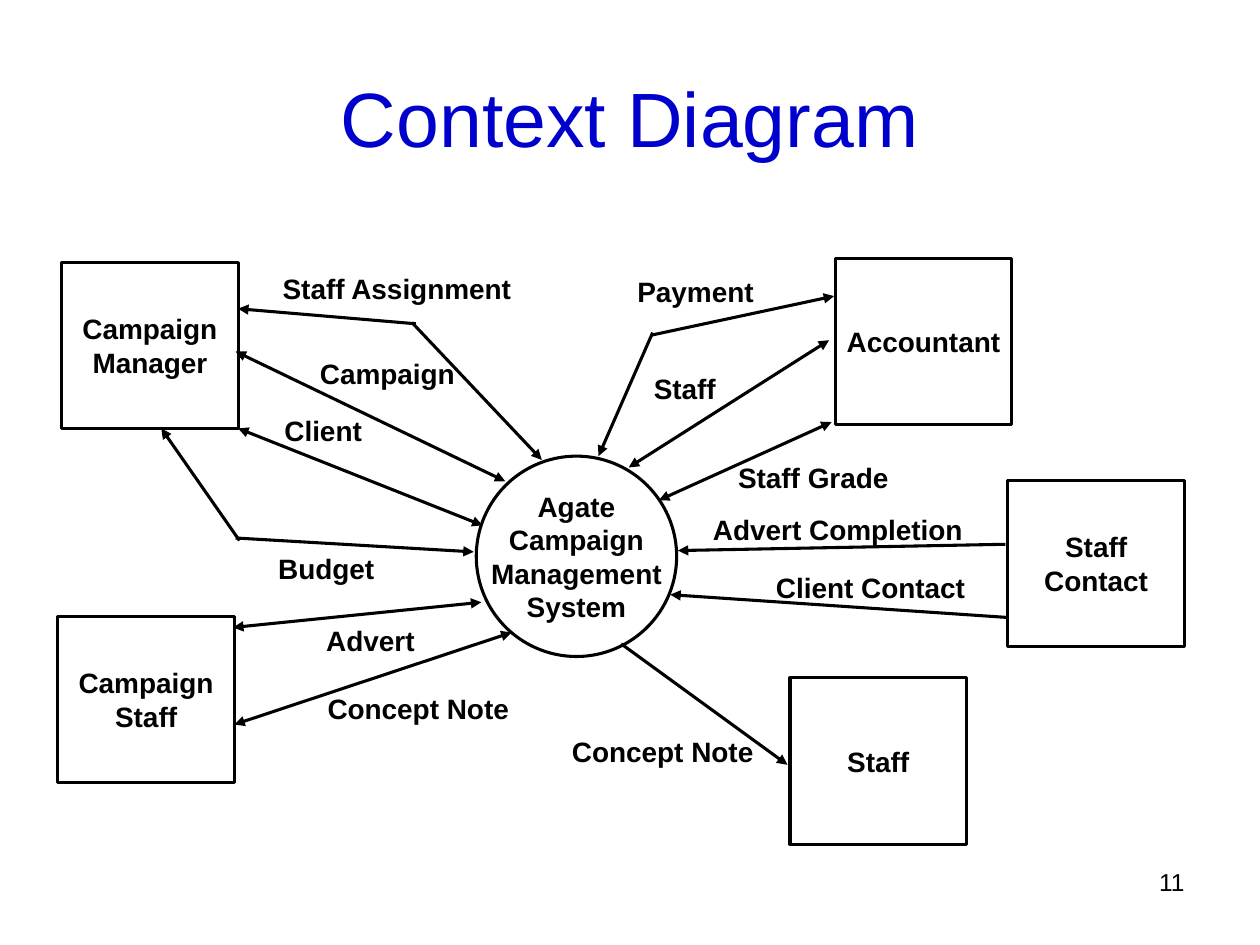
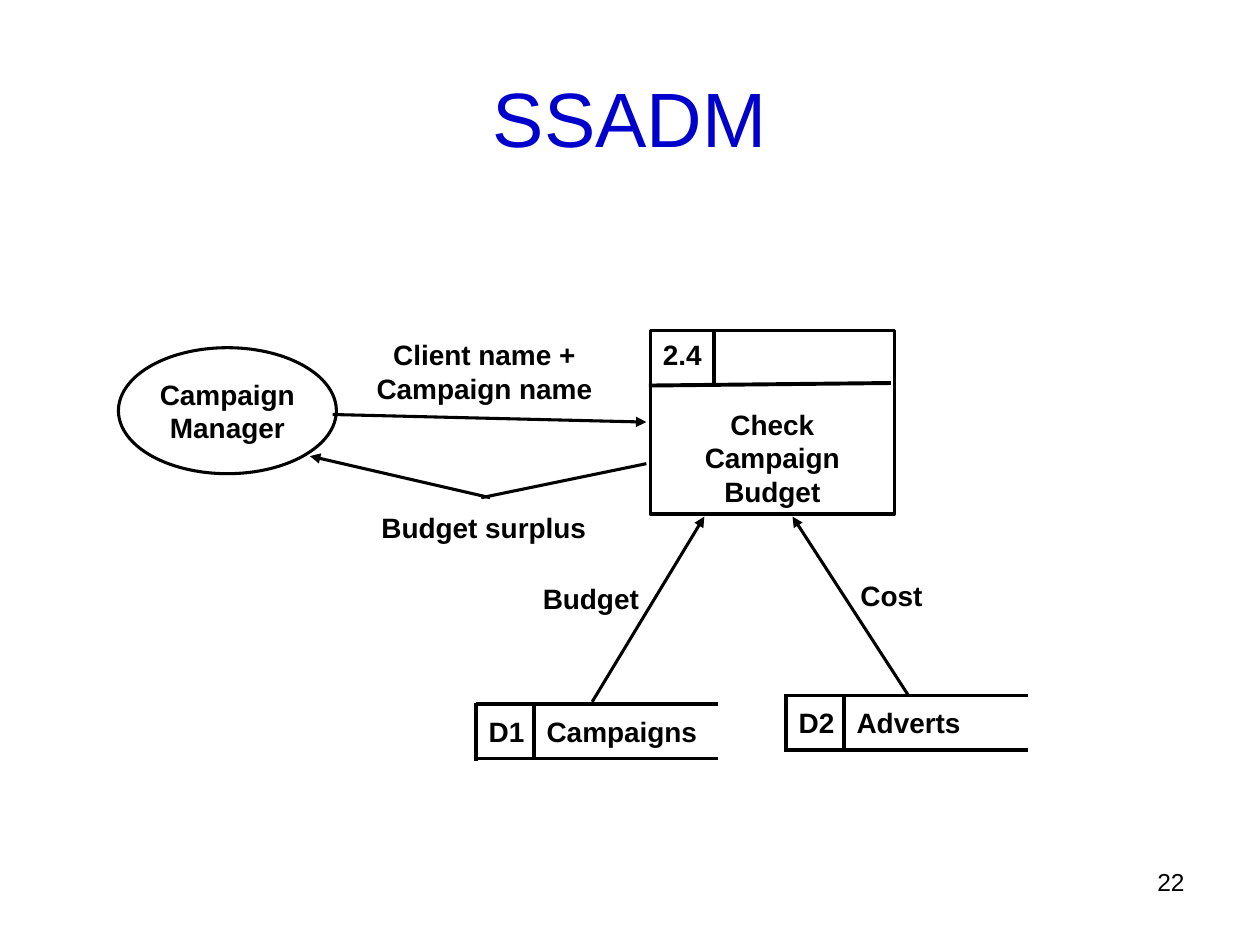
from dataclasses import dataclass

from lxml.etree import SubElement
from pptx import Presentation
from pptx.dml.color import RGBColor
from pptx.enum.shapes import MSO_CONNECTOR, MSO_SHAPE
from pptx.enum.text import MSO_ANCHOR, MSO_AUTO_SIZE, PP_ALIGN
from pptx.oxml.ns import qn
from pptx.slide import Slide
from pptx.text.text import TextFrame
from pptx.util import Emu, Pt

PIXEL = 9144
FONT = "Arial"
BLACK = "000000"
WHITE = "FFFFFF"
TITLE_BLUE = "0000CC"
FLOW_WIDTH = 1.75
RULE_WIDTH = 2.25
LABEL_HEIGHT = 37

STORE_WIDTH = 192
STORE_HEIGHT = 43
STORE_DIVIDER = 46


@dataclass(frozen=True)
class Node:
    text: str
    left: int
    top: int
    width: int = 140
    height: int = 132
    kind: MSO_SHAPE = MSO_SHAPE.RECTANGLE
    anchor: MSO_ANCHOR = MSO_ANCHOR.MIDDLE


@dataclass(frozen=True)
class Flow:
    start: tuple[int, int]
    end: tuple[int, int]
    head: bool = False
    tail: bool = True
    width: float = FLOW_WIDTH


@dataclass(frozen=True)
class Label:
    text: str
    left: int
    top: int
    width: int
    height: int = LABEL_HEIGHT
    align: PP_ALIGN = PP_ALIGN.CENTER
    side_margin: int = 0


@dataclass(frozen=True)
class Store:
    code: str
    name: str
    left: int
    top: int


def px(length: int) -> Emu:
    return Emu(length * PIXEL)


def color(code: str) -> RGBColor:
    return RGBColor.from_string(code)


def style_text(frame: TextFrame, size: int, align: PP_ALIGN,
               code: str = BLACK, bold: bool = False) -> None:
    for paragraph in frame.paragraphs:
        paragraph.alignment = align
        font = paragraph.font
        font.name = FONT
        font.size = Pt(size)
        font.bold = bold
        font.color.rgb = color(code)


def add_node(page: Slide, node: Node) -> None:
    box = page.shapes.add_shape(
        node.kind, px(node.left), px(node.top), px(node.width), px(node.height))
    box.shadow.inherit = False
    box.fill.solid()
    box.fill.fore_color.rgb = color(WHITE)
    box.line.color.rgb = color(BLACK)
    box.line.width = Pt(FLOW_WIDTH)
    frame = box.text_frame
    frame.word_wrap = False
    frame.vertical_anchor = node.anchor
    frame.text = node.text
    style_text(frame, 16, PP_ALIGN.CENTER, bold=True)


def add_flow(page: Slide, flow: Flow) -> None:
    connector = page.shapes.add_connector(
        MSO_CONNECTOR.STRAIGHT, *map(px, flow.start + flow.end))
    connector.line.color.rgb = color(BLACK)
    connector.line.width = Pt(flow.width)
    properties = connector._element.spPr
    outline = properties.find(qn("a:ln"))
    for shown, tag in ((flow.head, "a:headEnd"), (flow.tail, "a:tailEnd")):
        if shown:
            SubElement(outline, qn(tag), type="triangle")
    SubElement(properties, qn("a:effectLst"))


def add_rule(page: Slide, start: tuple[int, int], end: tuple[int, int]) -> None:
    add_flow(page, Flow(start, end, tail=False, width=RULE_WIDTH))


def add_label(page: Slide, label: Label, tab: int = 0) -> None:
    box = page.shapes.add_textbox(
        px(label.left), px(label.top), px(label.width), px(label.height))
    frame = box.text_frame
    frame.word_wrap = False
    frame.auto_size = MSO_AUTO_SIZE.NONE
    frame.margin_left = frame.margin_right = px(label.side_margin)
    frame.text = label.text
    if tab:
        tabs = SubElement(frame.paragraphs[0]._p.get_or_add_pPr(), qn("a:tabLst"))
        SubElement(tabs, qn("a:tab"), pos=str(px(tab)), algn="l")
    style_text(frame, 16, label.align, bold=True)


def add_store(page: Slide, store: Store) -> None:
    left, top = store.left, store.top
    right, bottom = left + STORE_WIDTH, top + STORE_HEIGHT
    divider = left + STORE_DIVIDER
    add_rule(page, (left, top), (right, top))
    add_rule(page, (left, bottom), (right, bottom))
    add_rule(page, (left, top - 1), (left, bottom + 2))
    add_rule(page, (divider, top), (divider, bottom))
    label = Label(f"{store.code}\t{store.name}", left, top + 3, STORE_WIDTH,
                  align=PP_ALIGN.LEFT, side_margin=10)
    add_label(page, label, tab=STORE_DIVIDER)


def add_page(deck: Presentation, title: str, number: int) -> Slide:
    page = deck.slides.add_slide(deck.slide_layouts[5])
    heading = page.shapes.title
    heading.left, heading.top = px(50), px(30)
    heading.width, heading.height = px(900), px(125)
    frame = heading.text_frame
    frame.text = title
    frame.vertical_anchor = MSO_ANCHOR.MIDDLE
    style_text(frame, 44, PP_ALIGN.CENTER, TITLE_BLUE)

    footer = page.shapes.add_textbox(px(717), px(683), px(233), px(52))
    footer.text_frame.word_wrap = True
    footer.text_frame.text = str(number)
    style_text(footer.text_frame, 14, PP_ALIGN.RIGHT)
    return page


def draw_diagram(page: Slide, nodes: list[Node], flows: list[Flow],
                 labels: list[Label]) -> None:
    for node in nodes:
        add_node(page, node)
    for flow in flows:
        add_flow(page, flow)
    for label in labels:
        add_label(page, label)


def build_context_diagram(deck: Presentation) -> None:
    page = add_page(deck, "Context Diagram", 11)
    nodes = [
        Node("Agate\nCampaign\nManagement\nSystem", 378, 362, 159, 159,
             MSO_SHAPE.OVAL),
        Node("Campaign\vManager", 49, 208),
        Node("Campaign\vStaff", 46, 489),
        Node("Accountant", 663, 205),
        Node("Staff", 627, 538),
        Node("Staff\nContact", 800, 381),
    ]
    flows = [
        Flow((187, 279), (401, 382), head=True),
        Flow((189, 340), (383, 417), head=True),
        Flow((190, 429), (128, 340)),
        Flow((187, 427), (376, 438)),
        Flow((185, 498), (382, 478), head=True),
        Flow((186, 575), (406, 502), head=True),
        Flow((330, 257), (189, 245)),
        Flow((327, 256), (430, 365)),
        Flow((493, 511), (625, 607)),
        Flow((499, 371), (658, 270), head=True),
        Flow((523, 397), (660, 335), head=True),
        Flow((518, 264), (475, 362)),
        Flow((517, 266), (662, 235)),
        Flow((798, 432), (538, 437)),
        Flow((799, 490), (532, 472)),
    ]
    labels = [
        Label("Staff Assignment", 214, 211, 202),
        Label("Campaign", 244, 278, 127),
        Label("Client", 216, 323, 81),
        Label("Budget", 211, 433, 96),
        Label("Advert", 249, 490, 90),
        Label("Concept Note", 250, 544, 164),
        Label("Concept Note", 444, 578, 164),
        Label("Payment", 496, 213, 112),
        Label("Staff", 509, 290, 69),
        Label("Staff Grade", 576, 361, 139),
        Label("Advert Completion", 556, 402, 218),
        Label("Client Contact", 606, 448, 170),
    ]
    draw_diagram(page, nodes, flows, labels)


def build_budget_check(deck: Presentation) -> None:
    page = add_page(deck, "SSADM", 22)
    nodes = [
        Node("Check\vCampaign\vBudget", 516, 262, 194, 146,
             anchor=MSO_ANCHOR.BOTTOM),
        Node("Campaign\vManager", 94, 276, 173, 100, MSO_SHAPE.OVAL),
    ]
    flows = [
        Flow((264, 329), (513, 335)),
        Flow((389, 395), (246, 362)),
        Flow((513, 368), (382, 395), tail=False),
        Flow((470, 557), (559, 410)),
        Flow((721, 552), (629, 410)),
    ]
    labels = [
        Label("2.4", 516, 263, 51),
        Label("Client name +\vCampaign name", 286, 263, 197, 64),
        Label("Budget surplus", 293, 400, 182),
        Label("Budget", 421, 457, 96),
        Label("Cost", 673, 454, 69),
    ]
    draw_diagram(page, nodes, flows, labels)
    add_rule(page, (515, 306), (707, 304))
    add_rule(page, (567, 262), (567, 306))
    for store in (Store("D1", "Campaigns", 378, 559),
                  Store("D2", "Adverts", 624, 552)):
        add_store(page, store)


def main() -> None:
    deck = Presentation()
    deck.slide_width, deck.slide_height = px(1000), px(750)
    build_context_diagram(deck)
    build_budget_check(deck)
    deck.save("out.pptx")


if __name__ == "__main__":
    main()
